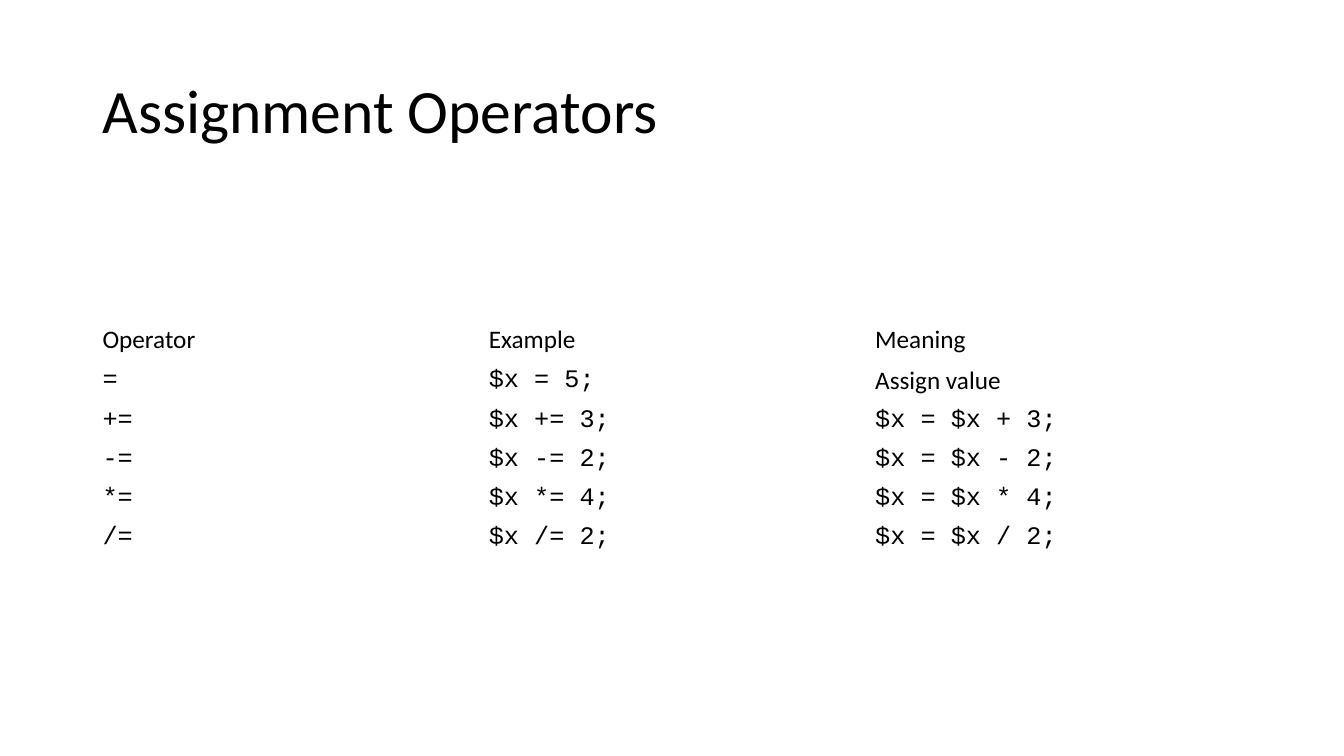
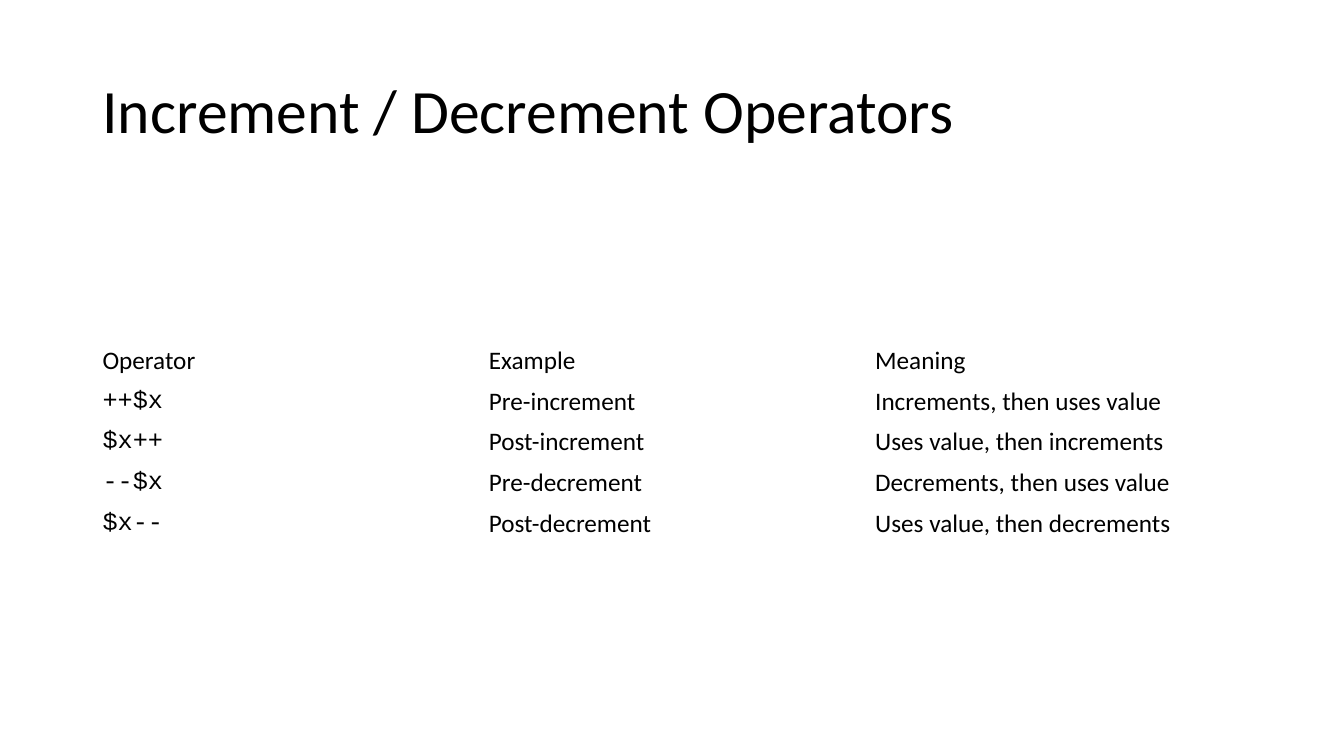
import pptx
import pptx.dml.color
import pptx.enum.text
import pptx.util

Cm = pptx.util.Cm
Pt = pptx.util.Pt
MIDDLE = pptx.enum.text.MSO_ANCHOR.MIDDLE

COLORS = {"text": "000000", "background": "FFFFFF"}
BODY_FONT, CODE_FONT = "Calibri", "Courier New"
TITLE_BOX = (2.33, 1.01, 29.21, 3.68)
BODY_BOX = (2.33, 5.07, 29.21, 12.1)
BODY_ROW, CODE_ROW, MEAN_ROW = 1.03, 0.98, 1.02
HEADER = ("Operator", "Example", "Meaning")
SLIDES = [
    ("Assignment Operators", [
        ("=", "$x = 5;", "Assign value"),
        ("+=", "$x += 3;", "$x = $x + 3;"),
        ("-=", "$x -= 2;", "$x = $x - 2;"),
        ("*=", "$x *= 4;", "$x = $x * 4;"),
        ("/=", "$x /= 2;", "$x = $x / 2;"),
    ]),
    ("Increment / Decrement Operators", [
        ("++$x", "Pre-increment", "Increments, then uses value"),
        ("$x++", "Post-increment", "Uses value, then increments"),
        ("--$x", "Pre-decrement", "Decrements, then uses value"),
        ("$x--", "Post-decrement", "Uses value, then decrements"),
    ]),
]


def is_code(text):
    """Tell whether a cell holds code rather than prose."""
    return "$" in text or "=" in text


def set_font(p, name, size):
    """Give a paragraph its font, size and text colour."""
    p.font.name = name
    p.font.size = Pt(size)
    p.font.bold = False
    p.font.color.rgb = pptx.dml.color.RGBColor.from_string(COLORS["text"])


def add_title(slide, text, box):
    """Place and format the title placeholder in the box."""
    sp = slide.shapes.title
    sp.left, sp.top, sp.width, sp.height = (Cm(v) for v in box)
    tf = sp.text_frame
    tf.text = text
    tf.word_wrap = True
    tf.vertical_anchor = MIDDLE
    p = tf.paragraphs[0]
    p.alignment = pptx.enum.text.PP_ALIGN.LEFT
    p.line_spacing = 0.9
    set_font(p, BODY_FONT, 44)


def add_operator_table(slide, rows, box):
    """Draw a plain table, vertically centred in the box."""
    left, top, width, height = box
    heights = [CODE_ROW if all(map(is_code, row)) else BODY_ROW for row in rows]
    top += (height - MEAN_ROW * len(rows)) / 2
    table = slide.shapes.add_table(len(rows), len(rows[0]), Cm(left), Cm(top),
                                   Cm(width), Cm(sum(heights))).table
    table.first_row = table.horz_banding = False
    for r, row in enumerate(rows):
        table.rows[r].height = Cm(heights[r])
        for c, text in enumerate(row):
            cell = table.cell(r, c)
            cell.text = text
            cell.vertical_anchor = MIDDLE
            cell.fill.background()
            set_font(cell.text_frame.paragraphs[0],
                     CODE_FONT if is_code(text) else BODY_FONT, 18)


def add_operator_slide(prs, title, rows):
    """Add a slide with a title and a table of operators."""
    slide = prs.slides.add_slide(prs.slide_layouts[5])
    add_title(slide, title, TITLE_BOX)
    add_operator_table(slide, [HEADER, *rows], BODY_BOX)


def main():
    """Build and save the presentation."""
    prs = pptx.Presentation()
    prs.slide_width, prs.slide_height = Cm(33.87), Cm(19.05)
    fill = prs.slide_master.background.fill
    fill.solid()
    fill.fore_color.rgb = pptx.dml.color.RGBColor.from_string(COLORS["background"])
    for title, rows in SLIDES:
        add_operator_slide(prs, title, rows)
    prs.save("out.pptx")


if __name__ == "__main__":
    main()
